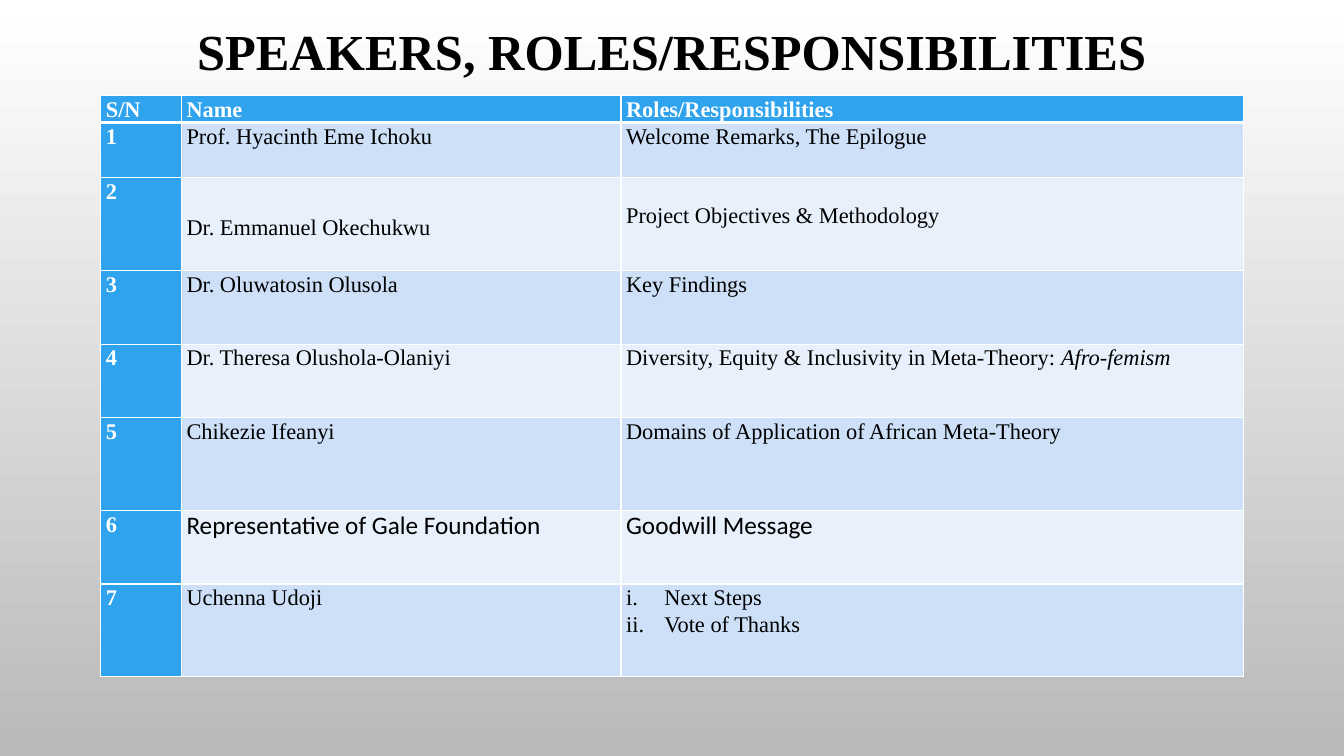
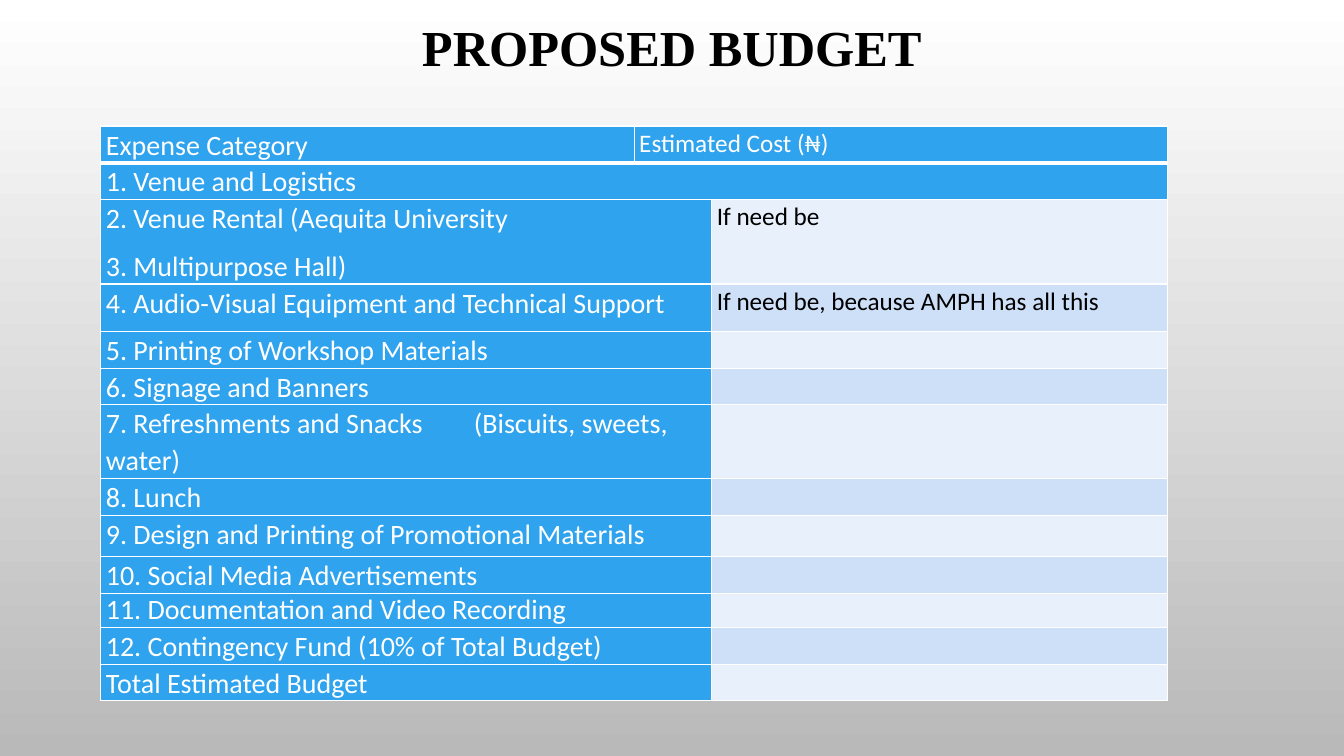
from dataclasses import dataclass

from lxml import etree
from pptx import Presentation
from pptx import util as u
from pptx.dml import color
from pptx.enum import text
from pptx.oxml import ns


@dataclass(frozen=True)
class Theme:
    black: str = "000000"
    white: str = "FFFFFF"
    grey: str = "B9B9B9"
    accent: str = "2FA3EE"
    bands: tuple[str, str] = ("E8F0FC", "CDE0F8")
    serif: str = "Times New Roman"
    sans: str = "Calibri"
    title: int = 36
    large: int = 20
    medium: int = 18
    small: int = 16
    rule: int = 1
    header_rule: int = 3


@dataclass(frozen=True)
class Entry:
    """Content of one table cell; each line is a paragraph."""
    lines: tuple[str, ...] = ()
    font: str = ""
    size: int = 0
    italic_tail: str = ""
    top: float = 0
    numbered: bool = False
    tab: float = 0
    spacing: float = 1.07


@dataclass(frozen=True)
class Grid:
    left: float
    top: float
    cols: tuple[float, ...]
    rows: tuple[float, ...]
    font: str
    size: int
    bold_accent: bool


T = Theme()


def rgb(value: str) -> color.RGBColor:
    return color.RGBColor.from_string(value)


def write(p, content: str, *, font: str, size: int, fill: str = T.black,
          bold: bool = False, italic: bool = False) -> None:
    r = p.add_run()
    r.text = content
    f = r.font
    f.name, f.size, f.bold, f.italic = font, u.Pt(size), bold, italic
    f.color.rgb = rgb(fill)


def child(parent, tag: str, **attrs):
    return etree.SubElement(parent, ns.qn(tag), {k: str(v) for k, v in attrs.items()})


def set_background(prs) -> None:
    fill = prs.slide_master.background.fill
    fill.gradient()
    fill.gradient_angle = 270
    for stop, position, value in zip(fill.gradient_stops, (0, 1), (T.white, T.grey)):
        stop.position = position
        stop.color.rgb = rgb(value)


def add_titled_slide(prs, title: str, height: float):
    s = prs.slides.add_slide(prs.slide_layouts[5])
    sp = s.shapes.title
    sp.left, sp.top = u.Inches(1), u.Inches(0)
    sp.width, sp.height = u.Inches(11.33), u.Inches(height)
    tf = sp.text_frame
    tf.word_wrap = True
    tf.auto_size = text.MSO_AUTO_SIZE.NONE
    tf.vertical_anchor = text.MSO_ANCHOR.MIDDLE
    p = tf.paragraphs[0]
    p.alignment = text.PP_ALIGN.CENTER
    p.line_spacing = 0.9
    write(p, title, font=T.serif, size=T.title, bold=True)
    return s


def draw_borders(cell, row: int) -> None:
    """White rules, heavier between the header and the first row."""
    tc_pr = cell._tc.get_or_add_tcPr()
    heavy = {(0, "B"), (1, "T")}
    for side in "LRTB":
        points = T.header_rule if (row, side) in heavy else T.rule
        ln = child(tc_pr, f"a:ln{side}", w=u.Pt(points))
        child(child(ln, "a:solidFill"), "a:srgbClr", val=T.white)


def fill_cell(cell, entry: Entry, grid: Grid, on_accent: bool) -> None:
    cell.margin_top = u.Inches(entry.top)
    tf = cell.text_frame
    for i, line in enumerate(entry.lines):
        p = tf.add_paragraph() if i else tf.paragraphs[0]
        p.alignment = text.PP_ALIGN.LEFT
        p.line_spacing = entry.spacing
        p.space_after = u.Pt(0 if entry.numbered else 8)
        p_pr = p._p.get_or_add_pPr()
        if entry.numbered:
            indent = u.Inches(0.38)
            p_pr.set("marL", str(indent))
            p_pr.set("indent", str(-indent))
            child(p_pr, "a:buFont", typeface="+mj-lt")
            child(p_pr, "a:buAutoNum", type="romanLcPeriod")
        if entry.tab:
            child(child(p_pr, "a:tabLst"), "a:tab", pos=u.Inches(entry.tab), algn="l")
        style = dict(font=entry.font or grid.font, size=entry.size or grid.size,
                     fill=T.white if on_accent else T.black,
                     bold=on_accent and grid.bold_accent)
        write(p, line, **style)
        if entry.italic_tail:
            write(p, entry.italic_tail, italic=True, **style)


def add_grid(s, grid: Grid, entries: list[list[Entry]],
             spans: dict[tuple[int, int], int] | None = None) -> None:
    """Draw a table; spans maps (row, column) to the last column merged."""
    spans = spans or {}
    table = s.shapes.add_table(
        len(grid.rows), len(grid.cols), u.Inches(grid.left), u.Inches(grid.top),
        u.Inches(sum(grid.cols)), u.Inches(sum(grid.rows))).table
    table.horz_banding = table.first_row = False
    for column, width in zip(table.columns, grid.cols):
        column.width = u.Inches(width)
    for row, height in zip(table.rows, grid.rows):
        row.height = u.Inches(height)
    for (r, c), last in spans.items():
        table.cell(r, c).merge(table.cell(r, last))
    for r, row_entries in enumerate(entries):
        pending = iter(row_entries)
        for c in range(len(grid.cols)):
            cell = table.cell(r, c)
            on_accent = r == 0 or c == 0 or cell.is_spanned and c < len(grid.cols) - 1
            draw_borders(cell, r)
            cell.fill.solid()
            cell.fill.fore_color.rgb = rgb(T.accent if on_accent else T.bands[r % 2])
            cell.margin_left = cell.margin_right = u.Inches(0.05)
            cell.margin_top = cell.margin_bottom = 0
            if not cell.is_spanned:
                fill_cell(cell, next(pending, Entry()), grid, on_accent)


def add_speakers(prs) -> None:
    s = add_titled_slide(prs, "SPEAKERS, ROLES/RESPONSIBILITIES", 1.07)
    sans = dict(font=T.sans, size=T.medium, spacing=1)
    speakers = [
        (Entry(("Prof. Hyacinth Eme Ichoku",)),
         Entry(("Welcome Remarks, The Epilogue",))),
        (Entry(("Dr. Emmanuel Okechukwu",), top=0.36),
         Entry(("Project Objectives & Methodology",), top=0.24)),
        (Entry(("Dr. Oluwatosin Olusola",)), Entry(("Key Findings",))),
        (Entry(("Dr. Theresa Olushola-Olaniyi",)),
         Entry(("Diversity, Equity & Inclusivity in Meta-Theory: ",),
               italic_tail="Afro-femism")),
        (Entry(("Chikezie Ifeanyi",)),
         Entry(("Domains of Application of African Meta-Theory",))),
        (Entry(("Representative of Gale Foundation",), **sans),
         Entry(("Goodwill Message",), **sans)),
        (Entry(("Uchenna Udoji",)),
         Entry(("Next Steps", "Vote of Thanks"), numbered=True)),
    ]
    header = [Entry((h,)) for h in ("S/N", "Name", "Roles/Responsibilities")]
    body = [[Entry((str(n),)), *pair] for n, pair in enumerate(speakers, 1)]
    grid = Grid(1, 0.95, (0.8, 4.36, 6.17),
                (0.26, 0.55, 0.92, 0.73, 0.73, 0.92, 0.73, 0.92),
                T.serif, T.small, True)
    add_grid(s, grid, [header, *body])


def add_budget(prs) -> None:
    s = add_titled_slide(prs, "PROPOSED BUDGET", 1)
    entries = [
        [Entry(("Expense Category",)), Entry(("Estimated Cost (₦)",), size=T.medium)],
        [Entry(("1. Venue and Logistics",))],
        [Entry(("2. Venue Rental (Aequita University", "3. Multipurpose Hall)")),
         Entry(("If need be",), size=T.medium)],
        [Entry(("4. Audio-Visual Equipment and Technical Support",)),
         Entry(("If need be, because AMPH has all this",), size=T.medium)],
        [Entry(("5. Printing of Workshop Materials",))],
        [Entry(("6. Signage and Banners",))],
        [Entry(("7. Refreshments and Snacks\t(Biscuits, sweets, water)",), tab=3.65)],
        [Entry(("8. Lunch",))],
        [Entry(("9. Design and Printing of Promotional Materials",))],
        [Entry(("10. Social Media Advertisements",))],
        [Entry(("11. Documentation and Video Recording",), spacing=1)],
        [Entry(("12. Contingency Fund (10% of Total Budget)",))],
        [Entry(("Total Estimated Budget",))],
    ]
    line = 0.36
    grid = Grid(1, 1.25, (5.29, 0.77, 4.52),
                (line, line, 0.84, 0.47, line, line, 0.73, line, 0.41,
                 line, 0.34, line, line),
                T.sans, T.large, False)
    spans = {(0, 1): 2, (1, 0): 2} | {(r, 0): 1 for r in range(2, len(entries))}
    add_grid(s, grid, entries, spans)


def main() -> None:
    prs = Presentation()
    prs.slide_width, prs.slide_height = u.Inches(13.33), u.Inches(7.5)
    set_background(prs)
    add_speakers(prs)
    add_budget(prs)
    prs.save("out.pptx")


if __name__ == "__main__":
    main()
